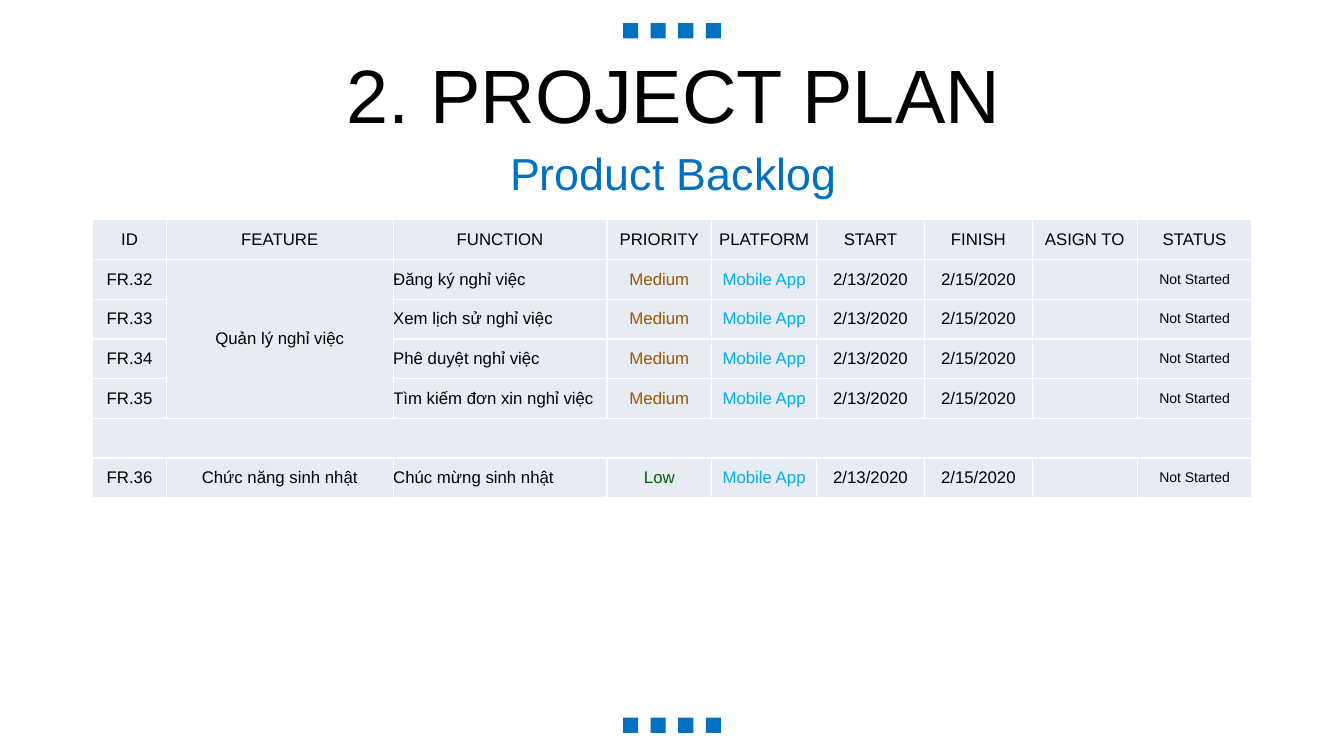
from dataclasses import dataclass

import pptx
import pptx.dml.color
import pptx.enum.shapes
import pptx.enum.text
import pptx.oxml
import pptx.oxml.ns
import pptx.util
from pptx.util import Inches

ALIGN = pptx.enum.text.PP_ALIGN
ANCHOR = pptx.enum.text.MSO_ANCHOR


@dataclass(frozen=True)
class Theme:
    font: str = "Arial"
    ink: str = "000000"
    accent: str = "0070C0"
    cell: str = "E7EBF4"
    border: str = "FFFFFF"
    platform: str = "00B0F0"
    medium: str = "9C5700"
    low: str = "006100"
    title_size: int = 54
    subtitle_size: int = 32
    table_size: int = 12
    status_size: int = 10


THEME = Theme()
HEADERS = ["ID", "FEATURE", "FUNCTION", "PRIORITY", "PLATFORM", "START", "FINISH", "ASIGN TO", "STATUS"]
WIDTHS = [0.73, 2.25, 2.12, 1.04, 1.04, 1.07, 1.07, 1.04, 1.14]
LEAVE_TASKS = [
    ("FR.32", "Quản lý nghỉ việc", "Đăng ký nghỉ việc", "Medium"),
    ("FR.33", "", "Xem lịch sử nghỉ việc", "Medium"),
    ("FR.34", "", "Phê duyệt nghỉ việc", "Medium"),
    ("FR.35", "", "Tìm kiếm đơn xin nghỉ việc", "Medium"),
]
BIRTHDAY_TASK = ("FR.36", "Chức năng sinh nhật", "Chúc mừng sinh nhật", "Low")
SCHEDULE = ("Mobile App", "2/13/2020", "2/15/2020", "", "Not Started")
TEXT_COLORS = {"Medium": THEME.medium, "Low": THEME.low, "Mobile App": THEME.platform}


def rgb(value):
    return pptx.dml.color.RGBColor.from_string(value)


def write(tf, text, size, color, align=ALIGN.CENTER):
    p = tf.paragraphs[0]
    if text:
        p.add_run().text = text
    p.alignment = align
    p.font.name = THEME.font
    p.font.size = pptx.util.Pt(size)
    p.font.color.rgb = rgb(color)
    return p


def add_title(s, text):
    sp = s.shapes.title
    sp.left, sp.top, sp.width, sp.height = Inches(0.35), Inches(0.59), Inches(12.66), Inches(0.79)
    tf = sp.text_frame
    tf.auto_size = pptx.enum.text.MSO_AUTO_SIZE.NONE
    tf.vertical_anchor = ANCHOR.MIDDLE
    p = write(tf, text, THEME.title_size, THEME.ink)
    p.line_spacing = 0.9


def add_subtitle(s, text):
    sp = s.shapes.add_textbox(Inches(4.36), Inches(1.39), Inches(4.64), Inches(0.64))
    tf = sp.text_frame
    tf.word_wrap = True
    tf.vertical_anchor = ANCHOR.MIDDLE
    write(tf, text, THEME.subtitle_size, THEME.accent)


def add_squares(s, top, count=4, size=0.15, left=6.18, last=7):
    step = (last - left) / (count - 1)
    for i in range(count):
        sp = s.shapes.add_shape(
            pptx.enum.shapes.MSO_SHAPE.RECTANGLE,
            Inches(left + i * step), Inches(top), Inches(size), Inches(size))
        sp.shadow.inherit = False
        sp.fill.solid()
        sp.fill.fore_color.rgb = rgb(THEME.accent)
        sp.line.fill.background()


def add_borders(cell):
    tc_pr = cell._tc.get_or_add_tcPr()
    for side in "LRTB":
        tc_pr.append(pptx.oxml.parse_xml(
            f'<a:ln{side} {pptx.oxml.ns.nsdecls("a")} w="12700"><a:solidFill>'
            f'<a:srgbClr val="{THEME.border}"/></a:solidFill></a:ln{side}>'))


def fill_cell(cell, text, header, is_header):
    add_borders(cell)
    cell.fill.solid()
    cell.fill.fore_color.rgb = rgb(THEME.cell)
    cell.margin_left = cell.margin_right = cell.margin_top = cell.margin_bottom = 0
    cell.vertical_anchor = ANCHOR.MIDDLE
    small = header == "STATUS" and not is_header
    left = header == "FUNCTION" and not is_header
    write(cell.text_frame, text,
          THEME.status_size if small else THEME.table_size,
          TEXT_COLORS.get(text, THEME.ink),
          ALIGN.LEFT if left else ALIGN.CENTER)


def add_backlog(s):
    rows = [HEADERS]
    rows += [task + SCHEDULE for task in LEAVE_TASKS]
    rows += [[""] * len(HEADERS), BIRTHDAY_TASK + SCHEDULE]
    frame = s.shapes.add_table(
        len(rows), len(HEADERS), Inches(0.92), Inches(2.18), Inches(sum(WIDTHS)), Inches(2.76))
    table = frame.table
    table.first_row = False
    table.horz_banding = False
    for column, width in zip(table.columns, WIDTHS):
        column.width = Inches(width)
    for i, row in enumerate(rows):
        for j, text in enumerate(row):
            fill_cell(table.cell(i, j), text, HEADERS[j], i == 0)
    leave_end = len(LEAVE_TASKS)
    table.cell(1, 1).merge(table.cell(leave_end, 1))
    table.cell(leave_end + 1, 0).merge(table.cell(leave_end + 1, len(HEADERS) - 1))


def main():
    prs = pptx.Presentation()
    prs.slide_width, prs.slide_height = Inches(13.33), Inches(7.5)
    s = prs.slides.add_slide(prs.slide_layouts[5])
    for top in (0.23, 7.12):
        add_squares(s, top)
    add_title(s, "2. PROJECT PLAN")
    add_subtitle(s, "Product Backlog")
    add_backlog(s)
    prs.save("out.pptx")


if __name__ == "__main__":
    main()
